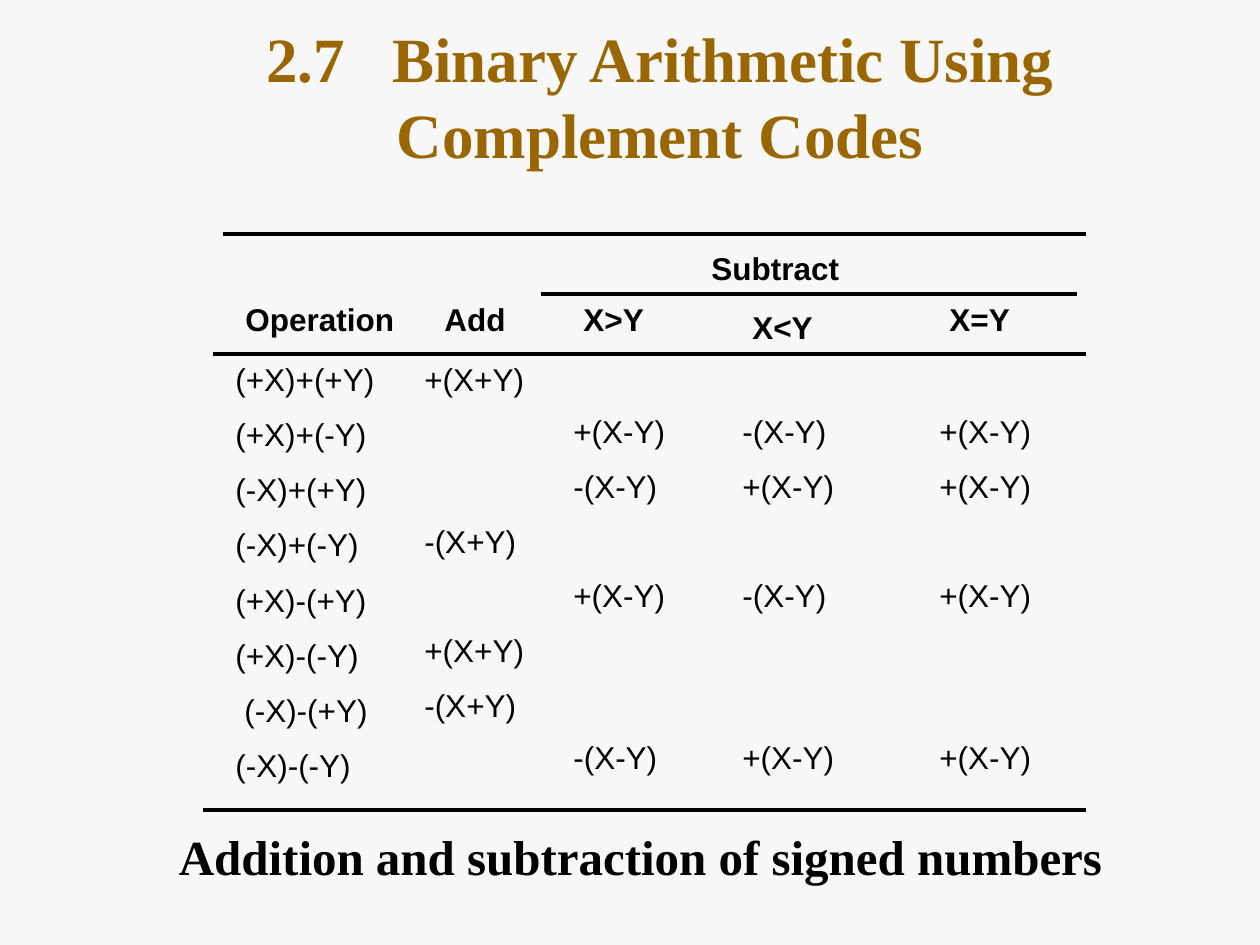
from pptx import Presentation
from pptx.dml.color import RGBColor
from pptx.enum.shapes import MSO_CONNECTOR
from pptx.enum.text import MSO_ANCHOR, PP_ALIGN
from pptx.oxml.ns import qn
from pptx.util import Emu, Pt

STRAIGHT = MSO_CONNECTOR.STRAIGHT
LEFT, CENTER = PP_ALIGN.LEFT, PP_ALIGN.CENTER
TOP, MIDDLE = MSO_ANCHOR.TOP, MSO_ANCHOR.MIDDLE

BACKGROUND = RGBColor(0xF8, 0xF8, 0xF8)
BROWN = RGBColor(0x99, 0x66, 0x00)
BLACK = RGBColor(0, 0, 0)

SERIF, SANS = "Times New Roman", "Arial"
BODY_SIZE = 18
ROW_PITCH = 30.6  # points from one row to the next
LINE_HEIGHT = 20.7  # points taken by one line of body text

RULES = [(223, 1086, 234), (541, 1077, 294), (213, 1086, 354), (203, 1086, 810)]

HEADINGS = [
    ("Operation", 233, 294, 228),
    ("Add", 432, 294, 110),
    ("X>Y", 571, 294, 110),
    ("X=Y", 937, 294, 110),
    ("X<Y", 740, 302, 110),
    ("Subtract", 699, 243, 169),
]

OPERATIONS = [
    "(+X)+(+Y)", "(+X)+(-Y)", "(-X)+(+Y)", "(-X)+(-Y)",
    "(+X)-(+Y)", "(+X)-(-Y)", "(-X)-(+Y)", "(-X)-(-Y)",
]
INDENTED_ROW = 6

# Left, top, width, height and the entries by row number
COLUMNS = [
    (223, 354, 248, 505, dict(enumerate(OPERATIONS))),
    (412, 354, 149, 392, {0: "+(X+Y)", 3: "-(X+Y)", 5: "+(X+Y)", 6: "-(X+Y)"}),
    (561, 352, 149, 449, {1: "+(X-Y)", 2: "-(X-Y)", 4: "+(X-Y)", 7: "-(X-Y)"}),
    (730, 352, 149, 449, {1: "-(X-Y)", 2: "+(X-Y)", 4: "-(X-Y)", 7: "+(X-Y)"}),
    (927, 352, 149, 449, {row: "+(X-Y)" for row in (1, 2, 4, 7)}),
]


def px(length):
    return Emu(round(length * 914400 / 126))


def style(font, face, size, color, bold):
    font.name, font.size, font.bold = face, Pt(size), bold
    font.color.rgb = color


def add_frame(slide, left, top, width, height, anchor=TOP):
    box = slide.shapes.add_textbox(px(left), px(top), px(width), px(height))
    frame = box.text_frame
    frame.word_wrap = True
    frame.vertical_anchor = anchor
    return frame


def add_label(slide, text, area, face=SANS, size=BODY_SIZE, align=LEFT):
    frame = add_frame(slide, *area)
    frame.text = text
    label = frame.paragraphs[0]
    label.alignment = align
    style(label.runs[0].font, face, size, BLACK, True)


def add_title(slide):
    frame = add_frame(slide, 84, 13, 1152, 165, MIDDLE)
    title = frame.paragraphs[0]
    title.alignment = CENTER
    for part in ("2.7", " ", "Binary Arithmetic Using Complement Codes"):
        run = title.add_run()
        run.text = part
        style(run.font, SERIF, 36, BROWN, True)
    # The gap after the section number is three spaces wide
    title.runs[1].font._element.set("spc", "1800")


def add_rule(slide, start, end, y):
    rule = slide.shapes.add_connector(STRAIGHT, px(start), px(y), px(end), px(y))
    rule.line.color.rgb = BLACK
    rule.line.width = Pt(2.5)
    properties = rule._element.spPr
    properties.append(properties.makeelement(qn("a:effectLst"), {}))


def add_column(slide, left, top, width, height, entries):
    """Place each entry on its row, skipping empty rows by spacing."""
    frame = add_frame(slide, left, top, width, height)
    frame.text = "\n".join(entries.values())
    rows = list(entries)
    frame.margin_top += Pt(rows[0] * ROW_PITCH)
    for index, entry in enumerate(frame.paragraphs):
        if index:
            step = rows[index] - rows[index - 1]
            entry.space_before = Pt(step * ROW_PITCH - LINE_HEIGHT)
        style(entry.runs[0].font, SANS, BODY_SIZE, BLACK, False)
    return frame


def main():
    presentation = Presentation()
    presentation.slide_width, presentation.slide_height = px(1260), px(945)
    slide = presentation.slides.add_slide(presentation.slide_layouts[6])
    slide.background.fill.solid()
    slide.background.fill.fore_color.rgb = BACKGROUND

    add_title(slide)
    for rule in RULES:
        add_rule(slide, *rule)
    operations, *_ = [add_column(slide, *column) for column in COLUMNS]
    indented = operations.paragraphs[INDENTED_ROW]
    indented._p.get_or_add_pPr().set("marL", str(px(9)))
    for text, left, top, width in HEADINGS:
        add_label(slide, text, (left, top, width, 50))
    add_label(slide, "Addition and subtraction of signed numbers",
              (154, 820, 973, 72), SERIF, 28, CENTER)
    presentation.save("out.pptx")


if __name__ == "__main__":
    main()
